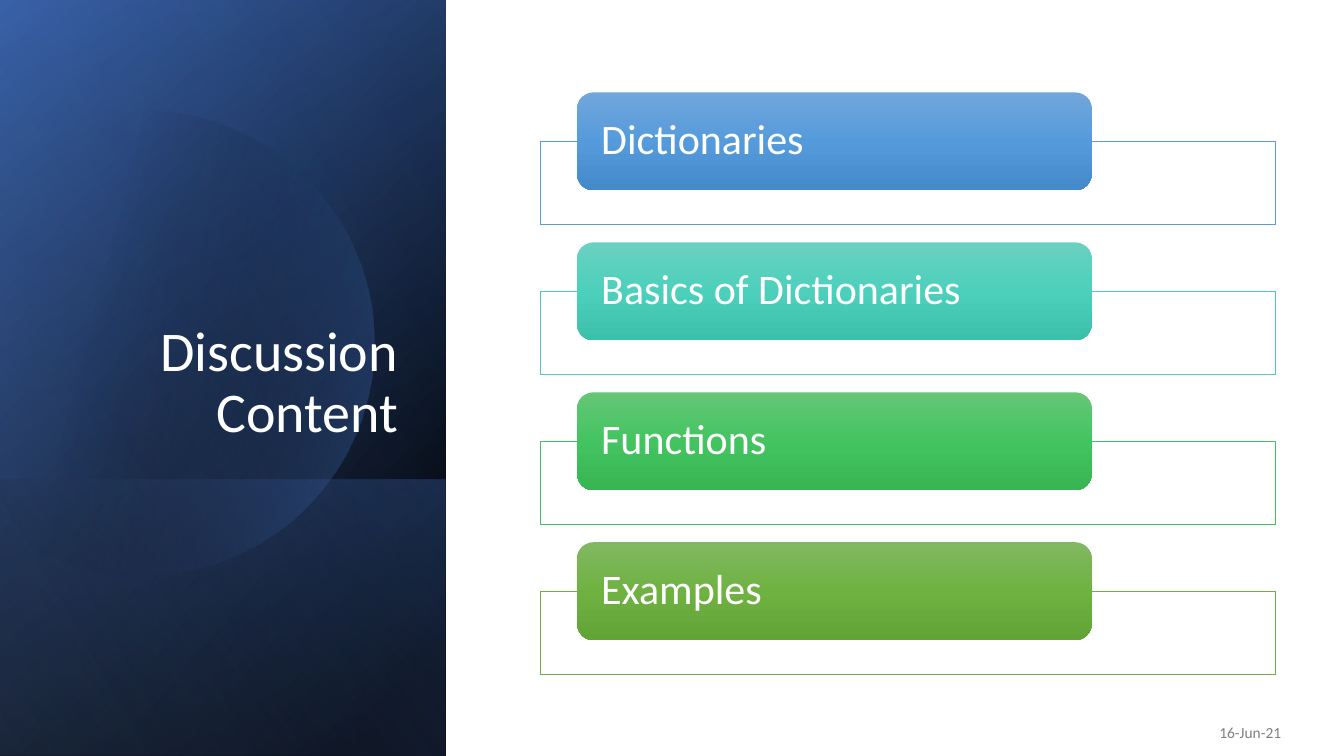
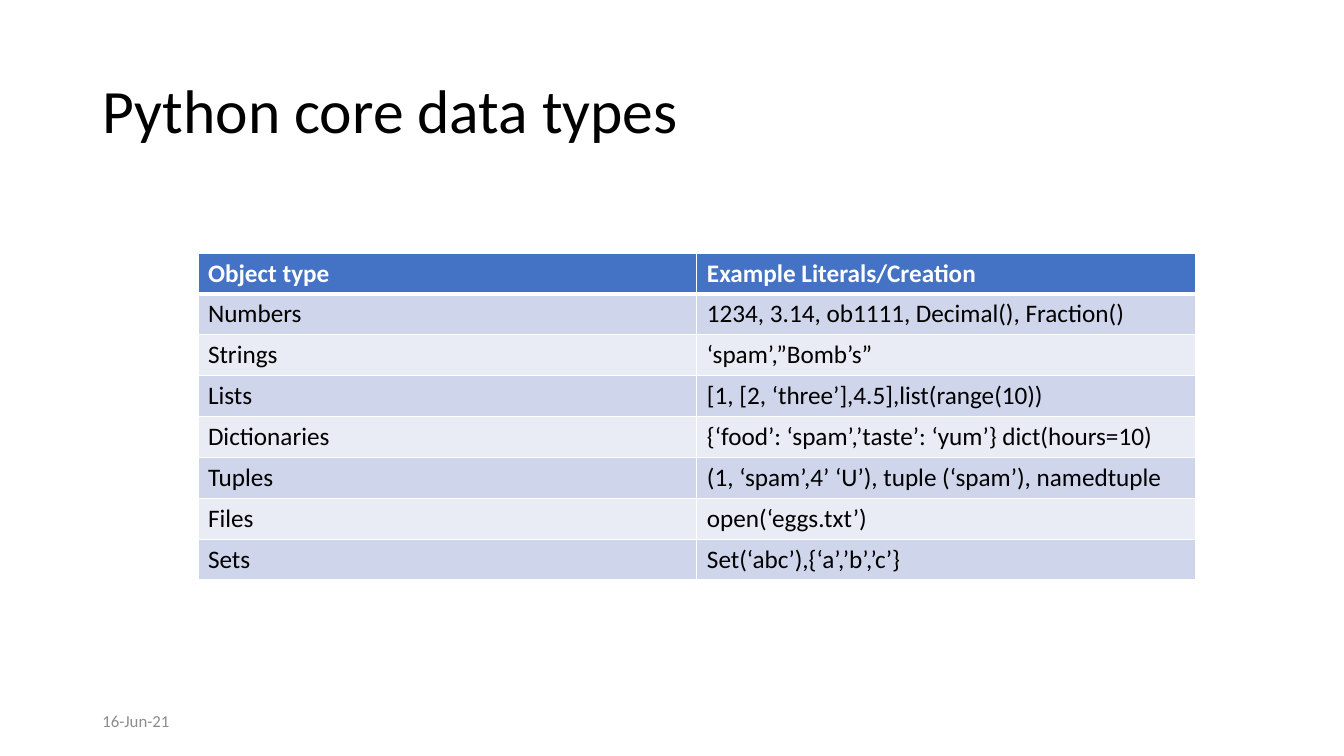
import math

import lxml.etree
import pptx
import pptx.dml.color
import pptx.enum.shapes
import pptx.enum.text
import pptx.oxml.ns
import pptx.util

Pt = pptx.util.Pt
ALIGN = pptx.enum.text.PP_ALIGN
ANCHOR = pptx.enum.text.MSO_ANCHOR
SHAPE = pptx.enum.shapes.MSO_SHAPE
qn = pptx.oxml.ns.qn

FONT = "Calibri"
DATE = "16-Jun-21"
COLORS = {
    "white": "FFFFFF", "black": "000000", "accent": "4472C4",
    "navy": "2F5597", "pale_blue": "8FAADC",
    "date_dark": "808080", "date_light": "8C8C8C",
    "band_dark": "CFD5EA", "band_light": "E9EBF5",
    "blue_line": "5B9BD5", "blue_top": "71A6DB", "blue_middle": "559BDB", "blue_bottom": "448ACA",
    "teal_line": "52CAB8", "teal_top": "6AD1C0", "teal_middle": "4CD0BC", "teal_bottom": "3CC0AC",
    "green_line": "49BF64", "green_top": "64C677", "green_middle": "44C460", "green_bottom": "36B552",
    "olive_line": "70AD47", "olive_top": "81B861", "olive_middle": "6FB242", "olive_bottom": "62A336",
}
TOPICS = [
    ("Dictionaries", "blue"),
    ("Basics of Dictionaries", "teal"),
    ("Functions", "green"),
    ("Examples", "olive"),
]
DATA_TYPES = [
    ("Object type", "Example Literals/Creation"),
    ("Numbers", "1234, 3.14, ob1111, Decimal(), Fraction()"),
    ("Strings", "‘spam’,”Bomb’s”"),
    ("Lists", "[1, [2, ‘three’],4.5],list(range(10))"),
    ("Dictionaries", "{‘food’: ‘spam’,’taste’: ‘yum’} dict(hours=10)"),
    ("Tuples", "(1, ‘spam’,4’ ‘U’), tuple (‘spam’), namedtuple"),
    ("Files", "open(‘eggs.txt’)"),
    ("Sets", "Set(‘abc’),{‘a’,’b’,’c’}"),
]


def rgb(name):
    """Return the named colour."""
    return pptx.dml.color.RGBColor.from_string(COLORS[name])


def write_text(frame, text, size, color, align=ALIGN.LEFT, anchor=None, bold=False, spacing=None):
    """Fill a text frame with one formatted paragraph."""
    frame.text = text
    frame.word_wrap = True
    if anchor is not None:
        frame.vertical_anchor = anchor
    paragraph = frame.paragraphs[0]
    paragraph.alignment = align
    paragraph.line_spacing = spacing
    font = paragraph.runs[0].font
    font.name, font.size, font.bold = FONT, Pt(size), bold
    font.color.rgb = rgb(color)


def fill_gradient(shape, stops, angle):
    """Give a shape a linear gradient of (position, colour, opacity) stops."""
    shape.shadow.inherit = False
    shape.line.fill.background()
    shape.fill.gradient()
    shape.fill.gradient_angle = 360 - angle
    stop_list = shape._element.spPr.find(".//" + qn("a:gsLst"))
    for old_stop in list(stop_list):
        stop_list.remove(old_stop)
    for position, color, opacity in stops:
        stop = lxml.etree.SubElement(stop_list, qn("a:gs"), pos=str(position * 1000))
        value = lxml.etree.SubElement(stop, qn("a:srgbClr"), val=COLORS[color])
        if opacity < 100:
            lxml.etree.SubElement(value, qn("a:alpha"), val=str(opacity * 1000))


def add_shape(slide, kind, left, top, width, height):
    """Add a preset shape measured in points."""
    return slide.shapes.add_shape(kind, Pt(left), Pt(top), Pt(width), Pt(height))


def add_title(slide, text, left, top, width, height, **text_format):
    """Place the title placeholder above the shapes drawn so far."""
    title = slide.shapes.title
    slide.shapes._spTree.append(title._element)
    title.left, title.top, title.width, title.height = map(Pt, (left, top, width, height))
    title.text_frame.auto_size = pptx.enum.text.MSO_AUTO_SIZE.NONE
    write_text(title.text_frame, text, spacing=0.9, **text_format)


def add_date(slide, left, top, **text_format):
    """Add the date line."""
    box = slide.shapes.add_textbox(Pt(left), Pt(top), Pt(216), Pt(28.8))
    write_text(box.text_frame, DATE, anchor=ANCHOR.MIDDLE, **text_format)


def add_turned_panel(slide, left, top, width, height, stops, angle):
    """Cover a box with a mirrored rectangle turned by a quarter."""
    shift = (width - height) / 2
    panel = add_shape(slide, SHAPE.RECTANGLE, left + shift, top - shift, height, width)
    panel.rotation = 90
    panel._element.spPr.find(qn("a:xfrm")).set("flipH", "1")
    fill_gradient(panel, stops, angle)


def add_clipped_disc(slide, left, center_x, center_y, radius):
    """Draw a disc cut off by a vertical edge at its left."""
    limit = math.acos((left - center_x) / radius)
    steps = 90
    angles = [limit * (2 * step / steps - 1) for step in range(steps + 1)]
    points = [(Pt(center_x + radius * math.cos(angle)), Pt(center_y + radius * math.sin(angle)))
              for angle in angles]
    builder = slide.shapes.build_freeform(*points[0], scale=1.0)
    builder.add_line_segments(points[1:], close=True)
    fill_gradient(builder.convert_to_shape(), [(29, "black", 0), (100, "accent", 43)], 14)


def add_side_panel(slide, left, top, width, height):
    """Draw the dark layered panel with its title."""
    box = (left, top, width, height)
    lower = 197.3
    add_turned_panel(slide, *box, [(8, "black", 100), (100, "navy", 100)], 50)
    add_turned_panel(slide, *box, [(0, "black", 0), (99, "accent", 46)], 30)
    add_turned_panel(slide, left, top + height - lower, width, lower,
                     [(2, "accent", 29), (100, "black", 30)], 130)
    add_clipped_disc(slide, left, left + 101.5, top + 245, 166)
    add_turned_panel(slide, *box, [(0, "black", 0), (99, "pale_blue", 11)], 120)
    add_title(slide, "Discussion Content", left + 46, top + 132.5, 245.5, 188.6,
              size=40, color="white", align=ALIGN.RIGHT, anchor=ANCHOR.BOTTOM)


def add_topic_list(slide, left, top, width, height):
    """Stack the topics as labels overlapping outlined frames."""
    label_height, frame_offset, frame_height = 70, 34.8, 59.5
    pitch = (height - frame_offset - frame_height) / (len(TOPICS) - 1)
    for index, (topic, hue) in enumerate(TOPICS):
        row_top = top + index * pitch
        frame = add_shape(slide, SHAPE.RECTANGLE, left, row_top + frame_offset, width, frame_height)
        frame.shadow.inherit = False
        frame.fill.solid()
        frame.fill.fore_color.rgb = rgb("white")
        frame.line.color.rgb = rgb(hue + "_line")
        frame.line.width = Pt(0.5)
        label = add_shape(slide, SHAPE.ROUNDED_RECTANGLE,
                          left + width * 0.05, row_top, width * 0.7, label_height)
        fill_gradient(label, [(0, hue + "_top", 100), (50, hue + "_middle", 100),
                              (100, hue + "_bottom", 100)], 90)
        text_frame = label.text_frame
        text_frame.margin_left = text_frame.margin_right = Pt(13.8)
        text_frame.margin_top = text_frame.margin_bottom = 0
        write_text(text_frame, topic, size=30, color="white", anchor=ANCHOR.MIDDLE, spacing=0.9)


def set_cell_borders(cell, **widths):
    """Draw white cell borders of the given widths."""
    properties = cell._tc.get_or_add_tcPr()
    for side in ("L", "R", "T", "B"):
        line = lxml.etree.SubElement(properties, qn("a:ln" + side), w=str(Pt(widths.get(side, 1))))
        fill = lxml.etree.SubElement(line, qn("a:solidFill"))
        lxml.etree.SubElement(fill, qn("a:srgbClr"), val=COLORS["white"])


def add_type_table(slide, left, top, width, height):
    """Add the banded table of data types."""
    row_count, column_count = len(DATA_TYPES), len(DATA_TYPES[0])
    table = slide.shapes.add_table(row_count, column_count,
                                   Pt(left), Pt(top), Pt(width), Pt(height)).table
    table.horz_banding = False
    for row_index, row in enumerate(DATA_TYPES):
        is_header = row_index == 0
        band = "accent" if is_header else ("band_light", "band_dark")[row_index % 2]
        thick = {0: {"B": 3}, 1: {"T": 3}}.get(row_index, {})
        for column_index, text in enumerate(row):
            cell = table.cell(row_index, column_index)
            set_cell_borders(cell, **thick)
            cell.fill.solid()
            cell.fill.fore_color.rgb = rgb(band)
            write_text(cell.text_frame, text, size=18, bold=is_header,
                       color="white" if is_header else "black")


def build_contents_slide(slide):
    """Build the slide that lists the topics."""
    add_side_panel(slide, 0, 0, 318.5, 540)
    add_date(slide, 706.3, 508.5, size=11, color="date_dark", align=ALIGN.RIGHT)
    add_topic_list(slide, 386, 66, 525, 415.6)


def build_types_slide(slide):
    """Build the slide with the table of data types."""
    add_title(slide, "Python core data types", 66, 28.8, 828, 104.4,
              size=44, color="black", anchor=ANCHOR.MIDDLE)
    add_date(slide, 66, 500.5, size=12, color="date_light")
    add_type_table(slide, 141.4, 180.7, 712.8, 233.6)


def main():
    """Build and save the presentation."""
    presentation = pptx.Presentation()
    presentation.slide_width, presentation.slide_height = Pt(960), Pt(540)
    title_only = presentation.slide_layouts.get_by_name("Title Only")
    for build in (build_contents_slide, build_types_slide):
        build(presentation.slides.add_slide(title_only))
    presentation.save("out.pptx")


if __name__ == "__main__":
    main()
